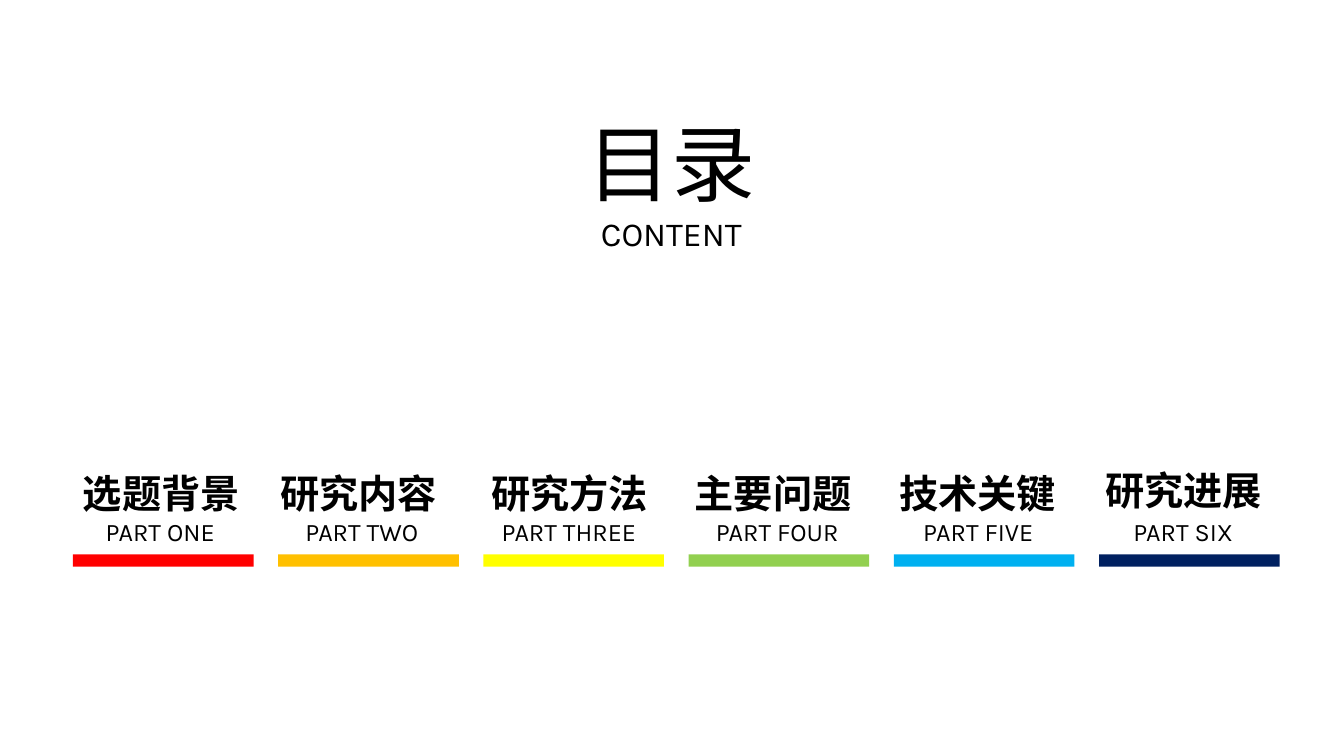
import pptx
import pptx.dml.color
import pptx.enum.lang
import pptx.enum.shapes
import pptx.enum.text
import pptx.util

Pt = pptx.util.Pt


def color(hex_string):
    return pptx.dml.color.RGBColor.from_string(hex_string)


def add_text(slide, left, top, width, height, lines, bold=False, spacing=None, wrap=True):
    box = slide.shapes.add_textbox(Pt(left), Pt(top), Pt(width), Pt(height))
    frame = box.text_frame
    frame.word_wrap = wrap
    frame.auto_size = pptx.enum.text.MSO_AUTO_SIZE.SHAPE_TO_FIT_TEXT
    for index, (text, size) in enumerate(lines):
        para = frame.add_paragraph() if index else frame.paragraphs[0]
        para.alignment = pptx.enum.text.PP_ALIGN.CENTER
        para.line_spacing = spacing
        span = para.add_run()
        span.text = text
        span.font.name = "Karla"
        span.font.size = Pt(size)
        span.font.bold = bold
        span.font.color.rgb = color("000000")
        span.font.language_id = pptx.enum.lang.MSO_LANGUAGE_ID.SIMPLIFIED_CHINESE


deck = pptx.Presentation()
deck.slide_width = Pt(960)
deck.slide_height = Pt(540)
page = deck.slides.add_slide(deck.slide_layouts[6])

add_text(page, 411.8, 76.3, 135.4, 108.7, [("目录", 60), ("CONTENT", 24)], wrap=False)

sections = [
    ("选题背景", 46.1, 321.8, "PART ONE", 56.9, 115.2, "FF0000"),
    ("研究内容", 187.2, 321.8, "PART TWO", 195.8, 125.3, "FFC000"),
    ("研究方法", 337.7, 321.8, "PART THREE", 339.1, 134.6, "FFFF00"),
    ("主要问题", 483.1, 321.8, "PART FOUR", 499.7, 110.9, "92D050"),
    ("技术关键", 629.3, 321.8, "PART FIVE", 650.9, 95.8, "00B0F0"),
    ("研究进展", 776.2, 319.7, "PART SIX", 797, 96.5, "002060"),
]

for index, (name, name_left, name_top, part, part_left, part_width, fill) in enumerate(sections):
    add_text(page, part_left, 358.6, part_width, 35.3, [(part, 18)], spacing=1.3)
    add_text(page, name_left, name_top, 138.2, 46.8, [(name, 28)], bold=True, spacing=1.3)
    bar = page.shapes.add_shape(
        pptx.enum.shapes.MSO_SHAPE.RECTANGLE,
        Pt(52.1 + index * 146.6), Pt(396), Pt(129), Pt(8.8),
    )
    bar.shadow.inherit = False
    bar.fill.solid()
    bar.fill.fore_color.rgb = color(fill)
    bar.line.fill.background()

deck.save("out.pptx")
